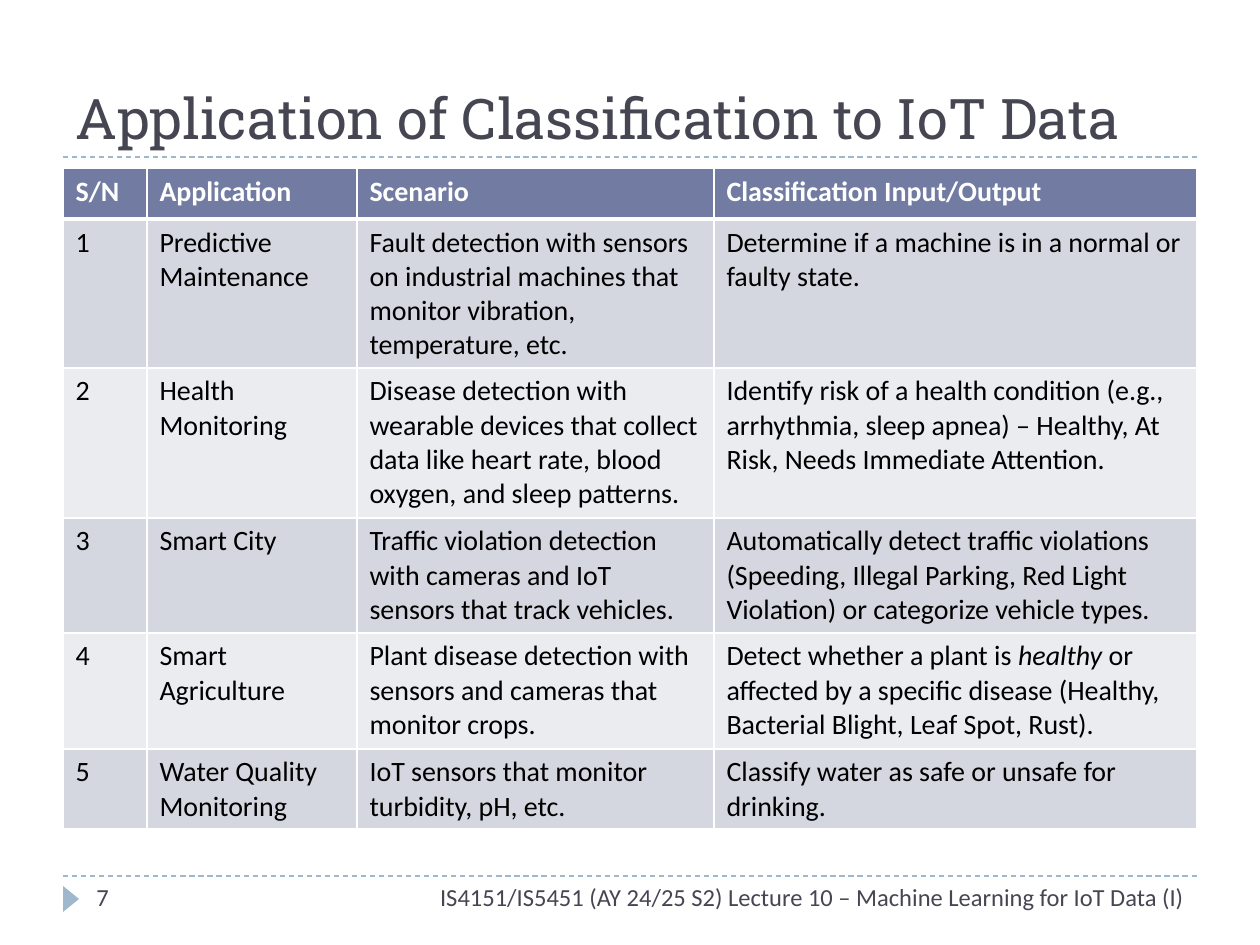
from lxml.etree import SubElement
from pptx import Presentation
from pptx.dml.color import RGBColor
from pptx.enum.dml import MSO_LINE_DASH_STYLE as Dash
from pptx.enum.shapes import MSO_CONNECTOR as Connector
from pptx.enum.shapes import MSO_SHAPE as Shape
from pptx.enum.text import MSO_ANCHOR as Anchor
from pptx.enum.text import PP_ALIGN as Align
from pptx.oxml.ns import qn
from pptx.util import Emu, Pt

PX = 914400 / 126
WHITE = RGBColor(0xFF, 0xFF, 0xFF)
BLACK = RGBColor(0, 0, 0)
INK = RGBColor(0x46, 0x46, 0x53)
SKY = RGBColor(0x9F, 0xB8, 0xCD)
HEADER = RGBColor(0x72, 0x7C, 0xA3)
BANDS = (RGBColor(0xEB, 0xEC, 0xF0), RGBColor(0xD5, 0xD7, 0xE0))

COLUMN_WIDTHS = (84, 210, 357, 483)
ROW_HEIGHTS = (51, 149, 150, 115, 116, 80)
HEADINGS = ("S/N", "Application", "Scenario", "Classification Input/Output")
APPLICATIONS = (
    ("Predictive Maintenance",
     "Fault detection with sensors on industrial machines that monitor vibration, temperature, etc.",
     "Determine if a machine is in a normal or faulty state."),
    ("Health Monitoring",
     "Disease detection with wearable devices that collect data like heart rate, blood oxygen, "
     "and sleep patterns.",
     "Identify risk of a health condition (e.g., arrhythmia, sleep apnea) – Healthy, At Risk, "
     "Needs Immediate Attention."),
    ("Smart City",
     "Traffic violation detection with cameras and IoT sensors that track vehicles.",
     "Automatically detect traffic violations (Speeding, Illegal Parking, Red Light Violation) "
     "or categorize vehicle types."),
    ("Smart Agriculture",
     "Plant disease detection with sensors and cameras that monitor crops.",
     ("Detect whether a plant is ", "healthy",
      " or affected by a specific disease (Healthy, Bacterial Blight, Leaf Spot, Rust).")),
    ("Water Quality Monitoring",
     "IoT sensors that monitor turbidity, pH, etc.",
     "Classify water as safe or unsafe for drinking."),
)


def px(*lengths):
    return [Emu(round(length * PX)) for length in lengths]


def add_span(para, text, size, color, font="Calibri", bold=False, italic=False):
    span = para.add_run()
    span.text = text
    span.font.name = font
    span.font.size = Pt(size)
    span.font.color.rgb = color
    span.font.bold = bold
    span.font.italic = italic


def add_text(slide, bounds, text, size, font="Calibri", align=Align.LEFT, anchor=Anchor.TOP):
    frame = slide.shapes.add_textbox(*px(*bounds)).text_frame
    frame.word_wrap = True
    frame.vertical_anchor = anchor
    para = frame.paragraphs[0]
    para.alignment = align
    add_span(para, text, size, INK, font)


def add_rule(slide, y):
    rule = slide.shapes.add_connector(Connector.STRAIGHT, *px(63, y, 1197, y))
    rule.line.color.rgb = SKY
    rule.line.width = Pt(0.75)
    rule.line.dash_style = Dash.DASH
    SubElement(rule.element.spPr, qn("a:effectLst"))


def add_marker(slide):
    marker = slide.shapes.add_shape(Shape.ISOSCELES_TRIANGLE, *px(58, 891, 26, 16))
    marker.rotation = 90
    marker.shadow.inherit = False
    marker.fill.solid()
    marker.fill.fore_color.rgb = SKY
    marker.line.fill.background()


def set_borders(cell, top, bottom):
    properties = cell._tc.get_or_add_tcPr()
    for side, width in (("L", 1), ("R", 1), ("T", top), ("B", bottom)):
        border = SubElement(properties, qn(f"a:ln{side}"), w=str(Pt(width)))
        fill = SubElement(border, qn("a:solidFill"))
        SubElement(fill, qn("a:srgbClr"), val=str(WHITE))


def fill_cell(cell, content, row):
    is_header = row == 0
    set_borders(cell, 3 if row == 1 else 1, 3 if is_header else 1)
    cell.fill.solid()
    cell.fill.fore_color.rgb = HEADER if is_header else BANDS[row % 2]
    para = cell.text_frame.paragraphs[0]
    spans = (content,) if isinstance(content, str) else content
    for index, text in enumerate(spans):
        add_span(para, text, 16, WHITE if is_header else BLACK,
                 bold=is_header, italic=index % 2 == 1)


def add_application_table(slide):
    rows = [HEADINGS]
    rows += [(str(number), *entry) for number, entry in enumerate(APPLICATIONS, 1)]
    bounds = px(63, 168, sum(COLUMN_WIDTHS), sum(ROW_HEIGHTS))
    table = slide.shapes.add_table(len(rows), len(HEADINGS), *bounds).table
    for column, width in zip(table.columns, px(*COLUMN_WIDTHS)):
        column.width = width
    for row, height in zip(table.rows, px(*ROW_HEIGHTS)):
        row.height = height
    for row, entry in enumerate(rows):
        for column, content in enumerate(entry):
            fill_cell(table.cell(row, column), content, row)


def main():
    deck = Presentation()
    deck.slide_width, deck.slide_height = px(1260, 945)
    page = deck.slides.add_slide(deck.slide_layouts[6])
    for y in (876, 157):
        add_rule(page, y)
    add_marker(page)
    add_text(page, (63, 21, 1134, 136), "Application of Classification to IoT Data", 32,
             font="Roboto Slab", anchor=Anchor.BOTTOM)
    add_text(page, (168, 876, 1029, 50),
             "IS4151/IS5451 (AY 24/25 S2) Lecture 10 – Machine Learning for IoT Data (I)", 14,
             align=Align.RIGHT)
    add_text(page, (84, 876, 273, 50), "7", 14)
    add_application_table(page)
    deck.save("out.pptx")


if __name__ == "__main__":
    main()
